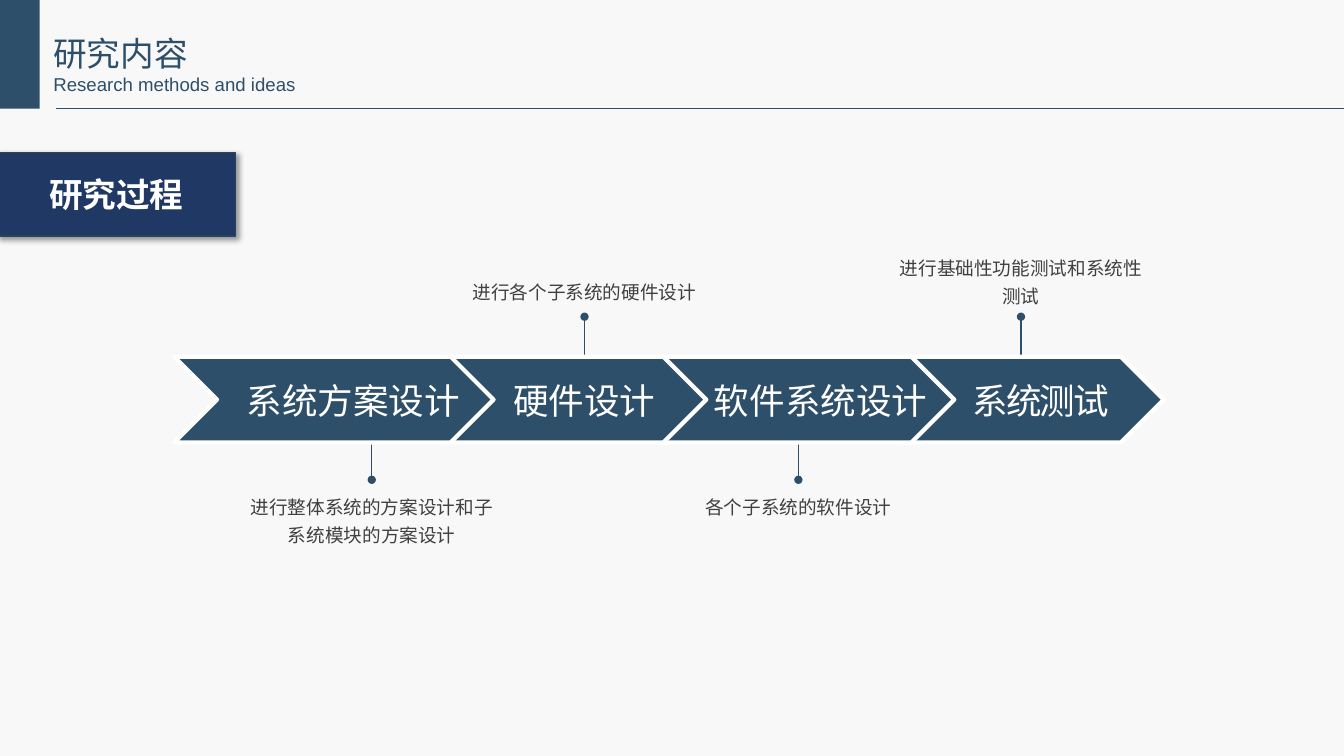
from pptx import Presentation
from pptx.dml.color import RGBColor
from pptx.enum.shapes import MSO_CONNECTOR, MSO_SHAPE
from pptx.enum.text import MSO_ANCHOR, MSO_AUTO_SIZE, PP_ALIGN
from pptx.oxml import parse_xml
from pptx.oxml.ns import nsdecls
from pptx.util import Cm, Pt

LINE = MSO_CONNECTOR.STRAIGHT
RECT, CHEVRON = MSO_SHAPE.RECTANGLE, MSO_SHAPE.CHEVRON
TOP, MIDDLE = MSO_ANCHOR.TOP, MSO_ANCHOR.MIDDLE
LEFT, CENTER = PP_ALIGN.LEFT, PP_ALIGN.CENTER
NO_FIT = MSO_AUTO_SIZE.NONE

COLORS = {"paper": "F8F8F8", "steel": "2D4F6A", "navy": "203864",
          "edge": "28445D", "white": "FFFFFF", "gray": "404040"}
COLORS = {name: RGBColor.from_string(code) for name, code in COLORS.items()}

prs = Presentation()
prs.slide_width, prs.slide_height = Cm(33.87), Cm(19.05)
s = prs.slides.add_slide(prs.slide_layouts[5])
s.background.fill.solid()
s.background.fill.fore_color.rgb = COLORS["paper"]


def write(sp, lines, color, align=CENTER, anchor=TOP, wrap=True, spacing=None):
    """Fill a shape with one paragraph per (text, font settings) pair."""
    tf = sp.text_frame
    for name, value in {"word_wrap": wrap, "auto_size": NO_FIT,
                        "vertical_anchor": anchor}.items():
        setattr(tf, name, value)
    for i, (text, font) in enumerate(lines):
        p = tf.add_paragraph() if i else tf.paragraphs[0]
        p.alignment, p.line_spacing = align, spacing
        r = p.add_run()
        r.text = text
        r.font.color.rgb = COLORS[color]
        for name, value in {"name": "Arial", **font}.items():
            setattr(r.font, name, value)
    return tf


def draw(kind, box, fill=None, line=None, width=1):
    """Add a line (no fill, box holds its two ends) or a filled shape."""
    box = [Cm(v) for v in box]
    if fill is None:
        sp = s.shapes.add_connector(kind, *box)
        sp._element.spPr.append(parse_xml(f'<a:effectLst {nsdecls("a")}/>'))
    else:
        sp = s.shapes.add_shape(kind, *box)
        sp.shadow.inherit = False
        sp.fill.solid()
        sp.fill.fore_color.rgb = COLORS[fill]
    if line:
        sp.line.color.rgb = COLORS[line]
        sp.line.width = Pt(width)
    else:
        sp.line.fill.background()
    return sp


# Header
title = s.shapes.title
title.left, title.top, title.width, title.height = Cm(1.09), Cm(0.69), Cm(7.29), Cm(1.85)
write(title, [("研究内容", {"size": Pt(24)}),
              ("Research methods and ideas", {"size": Pt(13.3)})], "steel", LEFT)
draw(LINE, (1.42, 2.74, 33.87, 2.74), line="steel")
draw(RECT, (0, 0, 1, 2.74), "steel")

# Process steps: label, chevron left and width, label left and width,
# letter spacing, stem x, caption top, caption
steps = [
    ("系统方案设计", 4.39, 8.05, 5.94, 5.94, 0, 9.37, 12.24,
     "进行整体系统的方案设计和子系统模块的方案设计"),
    ("硬件设计", 11.15, 6.65, 12.29, 4.88, 0, 14.73, 6.81,
     "进行各个子系统的硬件设计"),
    ("软件系统设计", 16.48, 7.57, 17.7, 5.97, 0, 20.12, 12.24,
     "各个子系统的软件设计"),
    ("系统测试", 22.68, 6.65, 23.27, 5.92, -150, 25.73, 6.2,
     "进行基础性功能测试和系统性测试"),
]

# Drawn from the right, so that each chevron overlaps the next one
for label, left, width, label_left, label_width, tracking, x, top, caption in reversed(steps):
    start, end = (9.3, 7.98) if top < 9 else (10.9, 12.09)
    stem = draw(LINE, (x, start, x, end), line="steel")
    stem.line._get_or_add_ln().append(parse_xml(f'<a:tailEnd {nsdecls("a")} type="oval"/>'))
    draw(CHEVRON, (left, 8.99, width, 2.16), "steel", "white", 3)

    sp = s.shapes.add_textbox(Cm(label_left), Cm(9.42), Cm(label_width), Cm(1.35))
    tf = write(sp, [(label, {"size": Pt(25.4)})], "white", wrap=False)
    if tracking:
        tf.paragraphs[0].runs[0].font._element.set("spc", str(tracking))

    sp = s.shapes.add_textbox(Cm(x - 3.43), Cm(top), Cm(6.86), Cm(1.63))
    write(sp, [(caption, {"size": Pt(13.3)})], "gray", spacing=Pt(20))

# Section badge with a soft shadow
badge = draw(RECT, (-0.08, 3.84, 6.02, 2.11), "navy", "edge")
write(badge, [("研究过程", {"size": Pt(24), "bold": True})], "white", anchor=MIDDLE)
badge._element.spPr.find("{*}effectLst").append(parse_xml(
    f'<a:outerShdw {nsdecls("a")} blurRad="{Pt(4)}" dist="{Pt(3)}" dir="2700000" algn="tl" '
    'rotWithShape="0"><a:srgbClr val="000000"><a:alpha val="40000"/></a:srgbClr></a:outerShdw>'))

prs.save("out.pptx")
